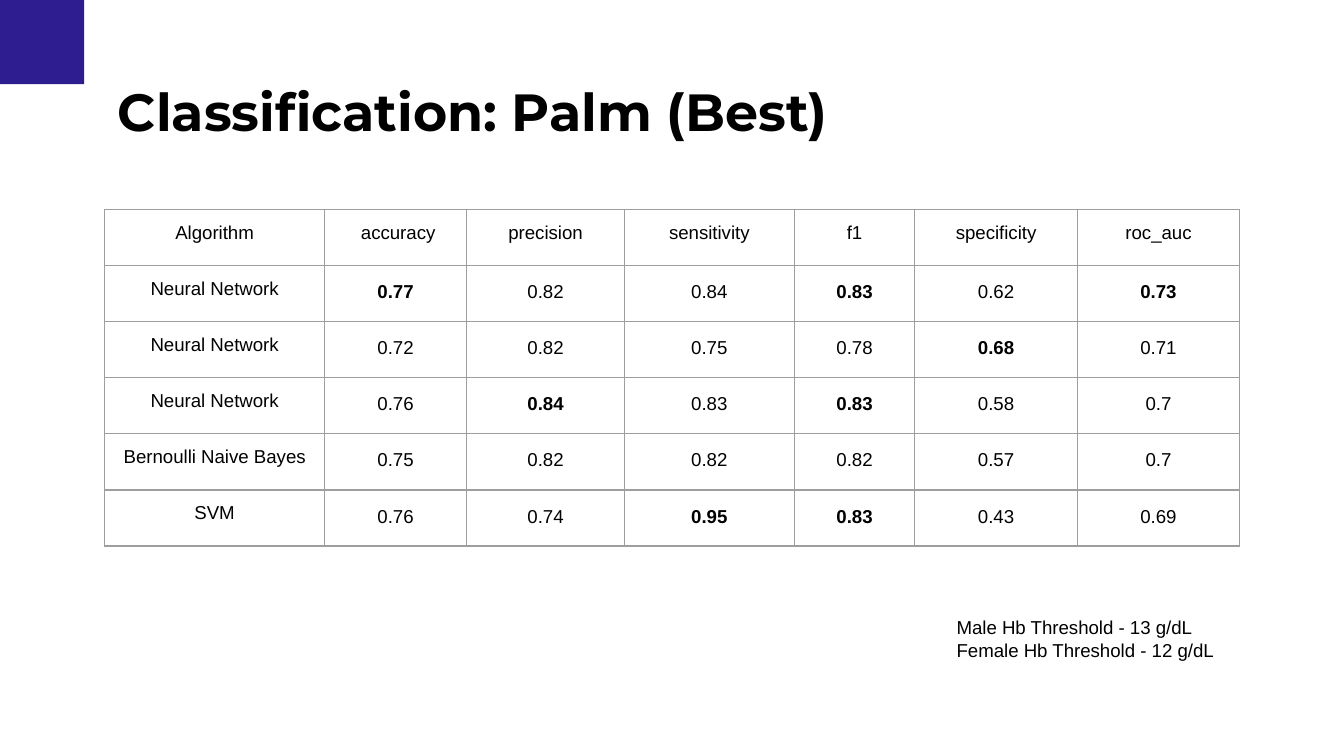
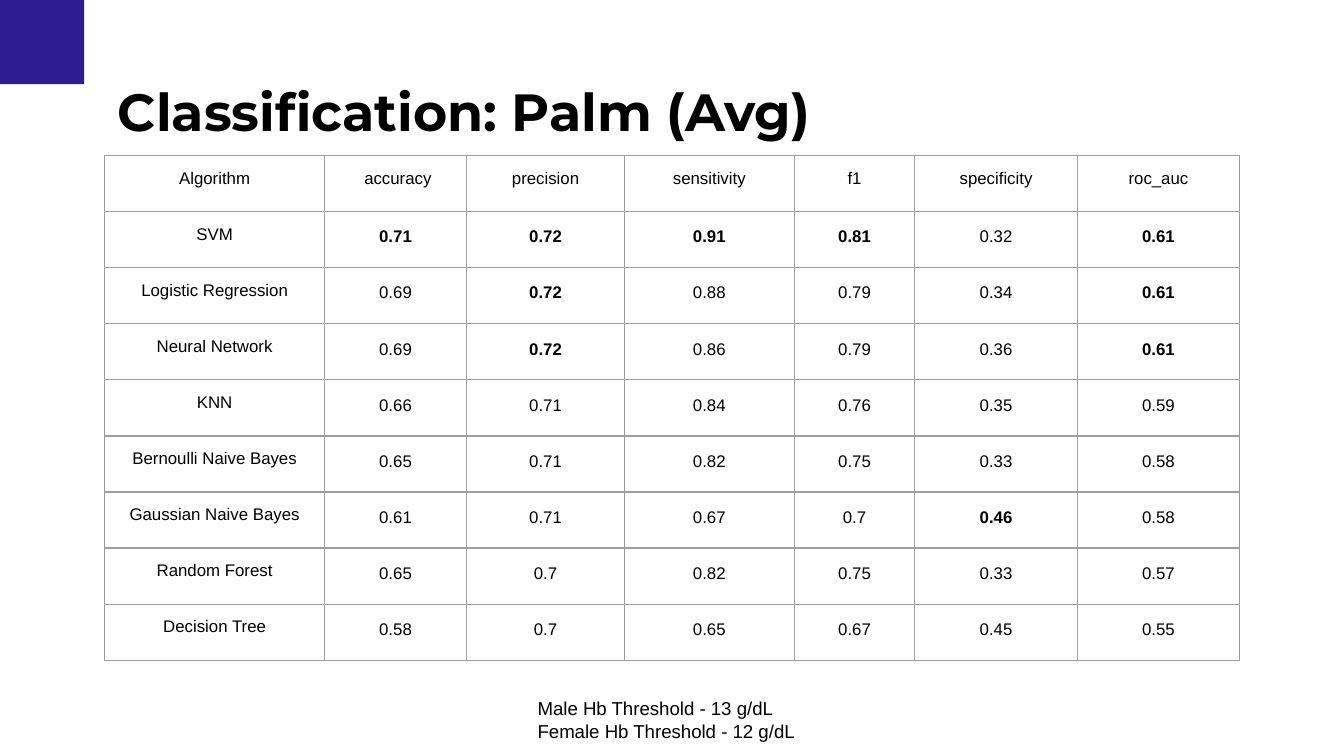
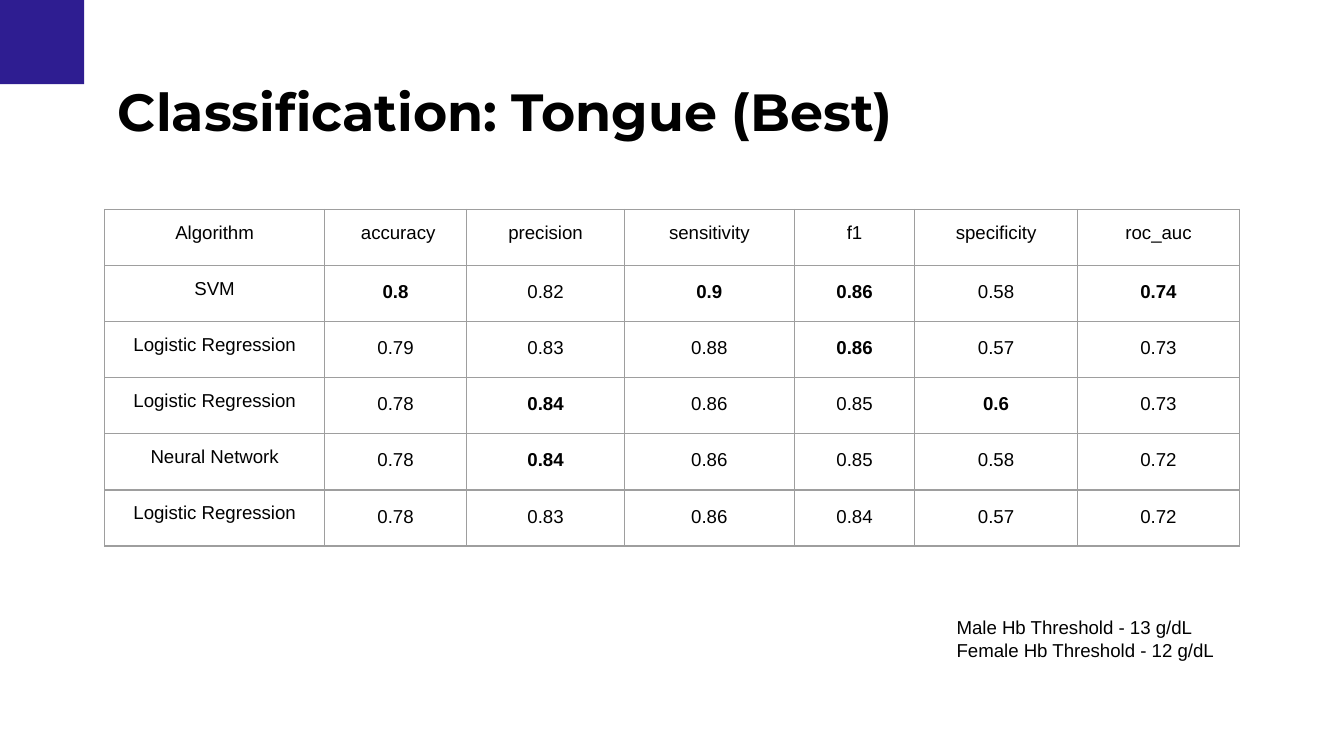
"""Build three slides of classification scores by algorithm."""
import lxml.etree
import pptx
import pptx.dml.color
import pptx.enum.shapes
import pptx.enum.text
import pptx.oxml.ns
import pptx.util

Cm, Pt = pptx.util.Cm, pptx.util.Pt
RGB = pptx.dml.color.RGBColor.from_string
ALIGN = pptx.enum.text.PP_ALIGN
FIT = pptx.enum.text.MSO_AUTO_SIZE.SHAPE_TO_FIT_TEXT
TOP = pptx.enum.text.MSO_ANCHOR.TOP
RECT = pptx.enum.shapes.MSO_SHAPE.RECTANGLE
HUE = {"mark": "2E1D91", "ink": "000000", "rule": "9E9E9E"}
LEFT, WIDE, PAD = 1.98, 21.44, 0.25
COLS = [4.15, 2.69, 2.98, 3.21, 2.28, 3.07, 3.07]
ROW = 1.06
HEAD = ["Algorithm", " accuracy", "precision", "sensitivity", "f1", "specificity", "roc_auc"]
NOTE = ["Male Hb Threshold - 13 g/dL", "Female Hb Threshold - 12 g/dL"]
DECK = [
    {"title": "Classification: Palm (Best)", "top": 3.96, "size": 10, "note": (17.83, 11.4), "rows": [
        ["Neural Network", "0.77", "0.82", "0.84", "0.83", "0.62", "0.73"],
        ["Neural Network", "0.72", "0.82", "0.75", "0.78", "0.68", "0.71"],
        ["Neural Network", "0.76", "0.84", "0.83", "0.83", "0.58", "0.7"],
        ["Bernoulli Naive Bayes", "0.75", "0.82", "0.82", "0.82", "0.57", "0.7"],
        ["SVM", "0.76", "0.74", "0.95", "0.83", "0.43", "0.69"],
    ]},
    {"title": "Classification: Palm (Avg)", "top": 2.94, "size": 9, "note": (9.91, 12.93), "rows": [
        ["SVM", "0.71", "0.72", "0.91", "0.81", "0.32", "0.61"],
        ["Logistic Regression", "0.69", "0.72", "0.88", "0.79", "0.34", "0.61"],
        ["Neural Network", "0.69", "0.72", "0.86", "0.79", "0.36", "0.61"],
        ["KNN", "0.66", "0.71", "0.84", "0.76", "0.35", "0.59"],
        ["Bernoulli Naive Bayes", "0.65", "0.71", "0.82", "0.75", "0.33", "0.58"],
        ["Gaussian Naive Bayes", "0.61", "0.71", "0.67", "0.7", "0.46", "0.58"],
        ["Random Forest", "0.65", "0.7", "0.82", "0.75", "0.33", "0.57"],
        ["Decision Tree", "0.58", "0.7", "0.65", "0.67", "0.45", "0.55"],
    ]},
    {"title": "Classification: Tongue (Best)", "top": 3.96, "size": 10, "note": (17.83, 11.4), "rows": [
        ["SVM", "0.8", "0.82", "0.9", "0.86", "0.58", "0.74"],
        ["Logistic Regression", "0.79", "0.83", "0.88", "0.86", "0.57", "0.73"],
        ["Logistic Regression", "0.78", "0.84", "0.86", "0.85", "0.6", "0.73"],
        ["Neural Network", "0.78", "0.84", "0.86", "0.85", "0.58", "0.72"],
        ["Logistic Regression", "0.78", "0.83", "0.86", "0.84", "0.57", "0.72"],
    ]},
]


def write(box, lines, size=10, face="Arial", bold=False, align=ALIGN.LEFT, space=None):
    """Fill a shape or cell with formatted lines of text."""
    frame = box.text_frame
    for line, text in enumerate(lines):
        para = frame.add_paragraph() if line else frame.paragraphs[0]
        para.alignment, para.line_spacing = align, space
        run = para.add_run()
        run.text = text
        run.font.name, run.font.size, run.font.bold = face, Pt(size), bold
        run.font.color.rgb = RGB(HUE["ink"])
    owner = frame if hasattr(box, "shape_type") else box
    owner.margin_left = owner.margin_right = Cm(PAD)
    owner.margin_top = owner.margin_bottom = Cm(PAD)
    owner.vertical_anchor = TOP
    if owner is frame:
        frame.word_wrap, frame.auto_size = True, FIT


def edge(cell):
    """Rule all four sides of a cell and clear its fill."""
    qn = pptx.oxml.ns.qn
    props = cell._tc.get_or_add_tcPr()
    for side in "LRTB":
        line = lxml.etree.SubElement(props, qn(f"a:ln{side}"), w=str(Pt(0.75)))
        fill = lxml.etree.SubElement(line, qn("a:solidFill"))
        lxml.etree.SubElement(fill, qn("a:srgbClr"), val=HUE["rule"])
    cell.fill.background()


deck = pptx.Presentation()
deck.slide_width, deck.slide_height = Cm(25.4), Cm(14.29)

for page in DECK:
    slide = deck.slides.add_slide(deck.slide_layouts[5])
    mark = slide.shapes.add_shape(RECT, 0, 0, Cm(1.59), Cm(1.59))
    mark.shadow.inherit = False
    mark.fill.solid()
    mark.fill.fore_color.rgb = RGB(HUE["mark"])
    mark.line.fill.background()

    title = slide.shapes.title
    title.left, title.top, title.width, title.height = Cm(LEFT), Cm(1.25), Cm(WIDE), Cm(1.7)
    write(title, [page["title"]], size=28, face="Montserrat", bold=True)

    rows = [HEAD] + page["rows"]
    best = [max(col) for col in zip(*page["rows"])]
    grid = slide.shapes.add_table(len(rows), len(COLS), Cm(LEFT), Cm(page["top"]),
                                  Cm(sum(COLS)), Cm(ROW * len(rows))).table
    grid.first_row = grid.horz_banding = False
    for col, wide in enumerate(COLS):
        grid.columns[col].width = Cm(wide)
    for row, texts in enumerate(rows):
        grid.rows[row].height = Cm(ROW)
        for col, text in enumerate(texts):
            score = row > 0 and col > 0
            cell = grid.cell(row, col)
            write(cell, [text], size=page["size"], bold=score and text == best[col],
                  align=ALIGN.CENTER, space=1.15 if score else None)
            edge(cell)

    left, top = page["note"]
    note = slide.shapes.add_textbox(Cm(left), Cm(top), Cm(5.59), Cm(1.37))
    write(note, NOTE)

deck.save("out.pptx")
